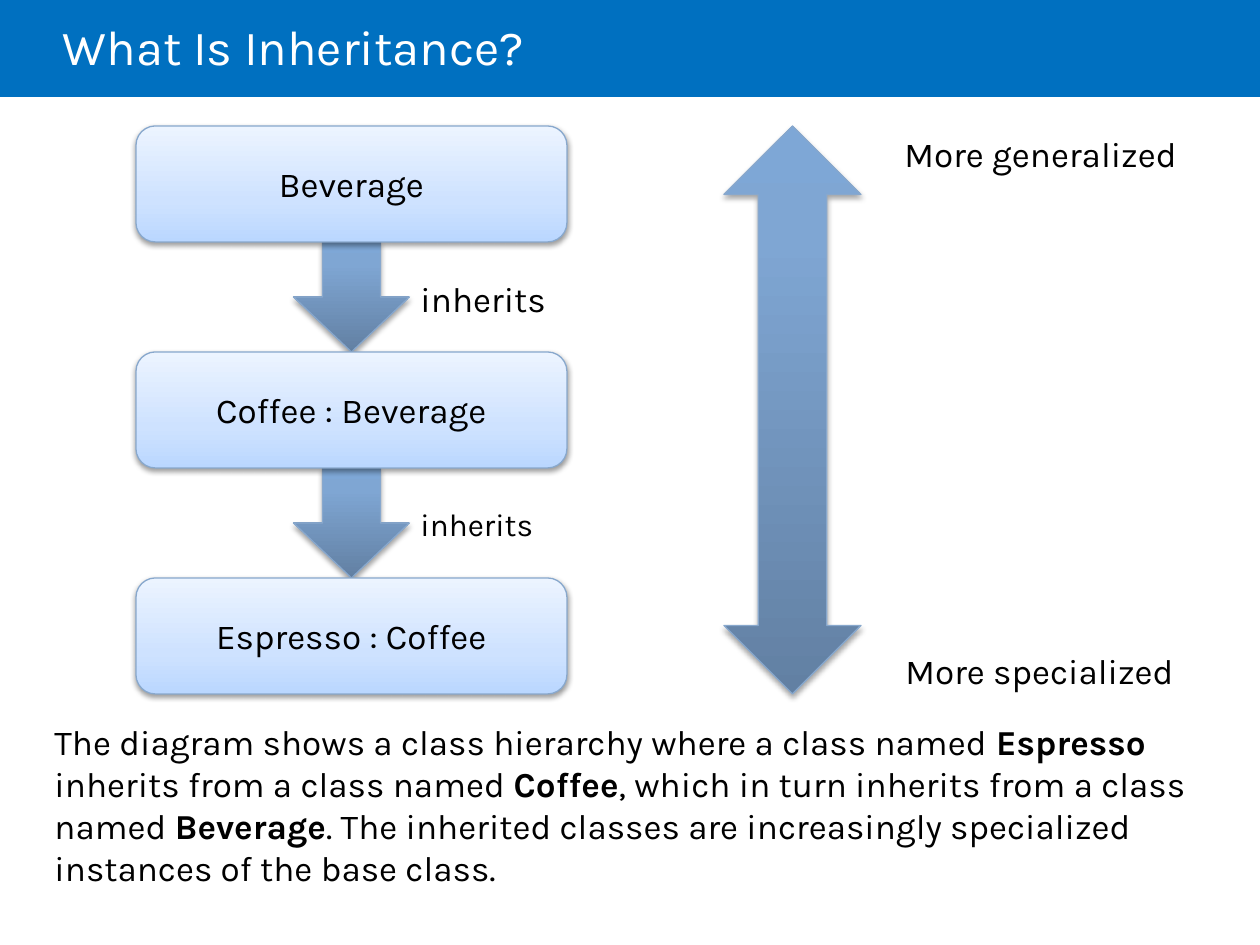
from pptx import Presentation
from pptx.dml.color import RGBColor
from pptx.enum.shapes import MSO_SHAPE as Shape
from pptx.enum.text import MSO_ANCHOR as Anchor, PP_ALIGN as Align
from pptx.oxml import parse_xml
from pptx.oxml.ns import nsdecls
from pptx.util import Pt

# Content
TITLE = "What Is Inheritance?"
CLASSES = ["Beverage", "Coffee : Beverage", "Espresso : Coffee"]
INHERITS = [("inherits", 271, 20), ("inherits", 499, 18)]  # text, top, size
SCALE_ENDS = [("More generalized", 892, 126), ("More specialized", 893, 643)]
SUMMARY = [  # text, bold
    ("The diagram shows a class hierarchy where a class named ", False),
    ("Espresso", True),
    (" inherits from a class named ", False),
    ("Coffee", True),
    (", which in turn inherits from a class named ", False),
    ("Beverage", True),
    (". The inherited classes are increasingly specialized instances of the base class.", False),
]

# Style
FONT = "Karla"
COLORS = {"banner": "0070C0", "white": "FFFFFF", "text": "000000", "edge": "88A8CD"}
BOX_STOPS = [(0, "BAD7FF"), (35, "CEE2FF"), (100, "ECF4FF")]
ARROW_STOPS = [(0, "6280A3"), (80, "7FA6D3"), (100, "7EA7D6")]
BOX_SHADOW = (38, 1.6)  # opacity in percent, distance in points
ARROW_SHADOW = (35, 1.8)

# Layout in px, 126 to the inch
PX = 914400 / 126
SLIDE_W, SLIDE_H = 1260, 945
BOX_X, BOX_Y, BOX_W, BOX_H = 136, 126, 431, 116
PITCH = 226
ARROW_W = 116


def px(*lengths):
    return [round(length * PX) for length in lengths]


def rgb(name):
    return RGBColor.from_string(COLORS[name])


def add_glossy(kind, x, y, w, h, stops, shadow):
    """Add a shape with a vertical gradient, a thin edge and a soft shadow."""
    shape = slide.shapes.add_shape(kind, *px(x, y, w, h))
    opacity, distance = shadow
    stop_xml = "".join(
        f'<a:gs pos="{pos * 1000}"><a:srgbClr val="{color}"/></a:gs>' for pos, color in stops)
    properties = shape._element.spPr
    properties.insert(2, parse_xml(
        f'<a:gradFill {nsdecls("a")} rotWithShape="1"><a:gsLst>{stop_xml}</a:gsLst>'
        '<a:lin ang="16200000" scaled="0"/></a:gradFill>'))
    shape.line.color.rgb = rgb("edge")
    shape.line.width = Pt(0.75)
    properties.append(parse_xml(
        f'<a:effectLst {nsdecls("a")}><a:outerShdw blurRad="{Pt(3.1)}" dist="{Pt(distance)}" '
        f'dir="5400000" rotWithShape="0"><a:srgbClr val="000000">'
        f'<a:alpha val="{opacity * 1000}"/></a:srgbClr></a:outerShdw></a:effectLst>'))
    return shape


def write(shape, runs, size=20, color="text"):
    """Fill a shape with one paragraph of (text, bold) runs."""
    frame = shape.text_frame
    frame.word_wrap = True
    paragraph = frame.paragraphs[0]
    paragraph.font.name = FONT
    paragraph.font.size = Pt(size)
    paragraph.font.color.rgb = rgb(color)
    for text, bold in runs:
        run = paragraph.add_run()
        run.text = text
        if bold:
            run.font.bold = True
    return frame


def add_text(x, y, w, h, runs, size=20, color="text"):
    return write(slide.shapes.add_textbox(*px(x, y, w, h)), runs, size, color)


prs = Presentation()
prs.slide_width, prs.slide_height = px(SLIDE_W, SLIDE_H)
slide = prs.slides.add_slide(prs.slide_layouts[6])

# Title banner
banner = slide.shapes.add_shape(Shape.RECTANGLE, *px(0, 0, SLIDE_W, 97))
banner.shadow.inherit = False
banner.fill.solid()
banner.fill.fore_color.rgb = rgb("banner")
banner.line.fill.background()
title = add_text(63, 0, 1071, 102, [(TITLE, False)], 28, "white")
title.margin_left = 0
title.vertical_anchor = Anchor.MIDDLE
title.paragraphs[0].line_spacing = 0.85

# Generalized-to-specialized arrow, as tall as the class stack
stack_height = PITCH * (len(CLASSES) - 1) + BOX_H
add_glossy(Shape.UP_DOWN_ARROW, 724, BOX_Y, 137, stack_height, ARROW_STOPS, ARROW_SHADOW)

# Arrows filling the gaps between classes
for i in range(len(CLASSES) - 1):
    add_glossy(Shape.DOWN_ARROW, BOX_X + (BOX_W - ARROW_W) / 2, BOX_Y + BOX_H + i * PITCH,
               ARROW_W, PITCH - BOX_H, ARROW_STOPS, ARROW_SHADOW)

# Class boxes
for i, name in enumerate(CLASSES):
    box = add_glossy(Shape.ROUNDED_RECTANGLE, BOX_X, BOX_Y + i * PITCH, BOX_W, BOX_H,
                     BOX_STOPS, BOX_SHADOW)
    frame = write(box, [(name, False)])
    frame.vertical_anchor = Anchor.MIDDLE
    frame.paragraphs[0].alignment = Align.CENTER

# Labels and summary
for label, x, y in SCALE_ENDS:
    add_text(x, y, 347, 55, [(label, False)])
for label, y, size in INHERITS:
    add_text(408, y, 284, 55, [(label, False)], size)
add_text(42, 714, 1176, 183, SUMMARY)

prs.save("out.pptx")
